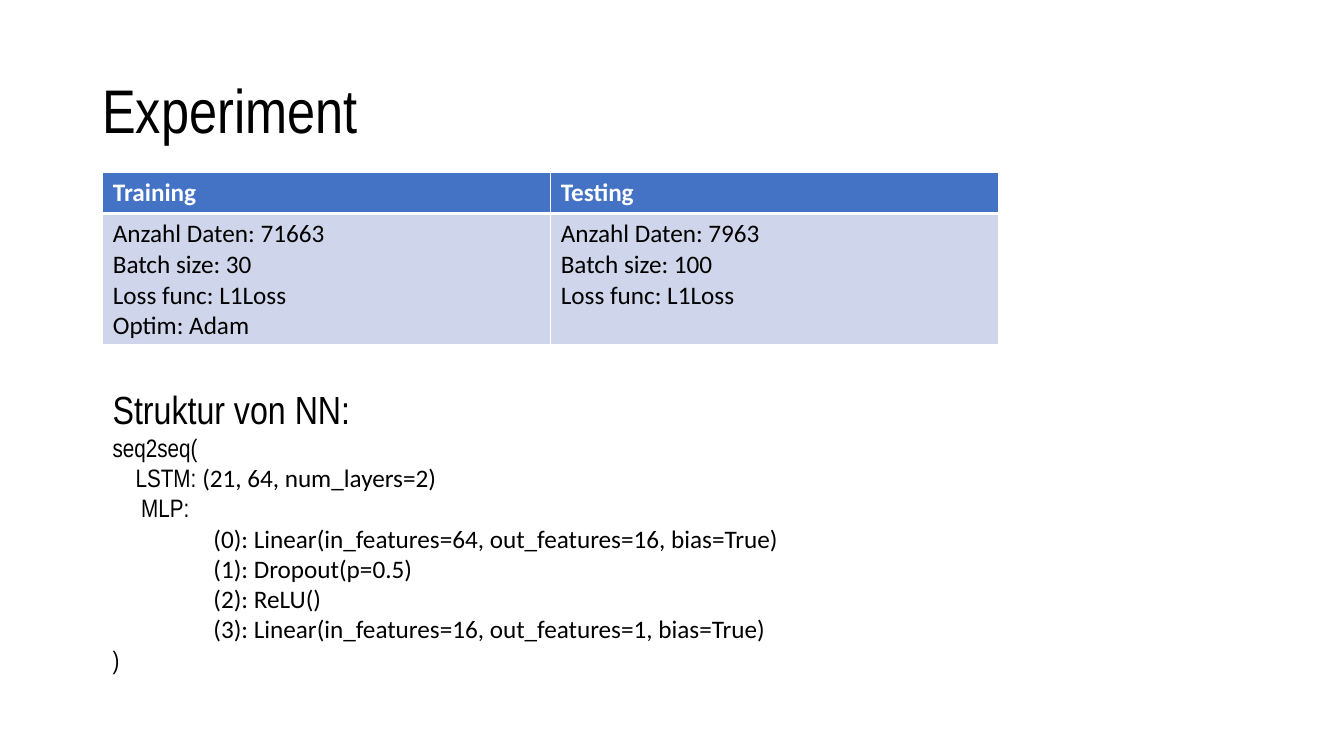
"""Build the experiment slide with its data table and network structure."""
from dataclasses import dataclass

from lxml.etree import SubElement
from pptx import Presentation
from pptx.dml.color import RGBColor as Color
from pptx.enum.text import MSO_ANCHOR as Anchor, MSO_AUTO_SIZE as AutoSize
from pptx.oxml.ns import qn
from pptx.util import Cm, Pt


@dataclass(frozen=True)
class Theme:
    narrow: str = "Arial Narrow"
    sans: str = "Calibri"
    black: str = "000000"
    white: str = "FFFFFF"
    header: str = "4472C4"
    body: str = "CFD5EA"
    title_size: int = 44
    heading_size: int = 28
    text_size: int = 18


theme = Theme()


def add_text(para, text, font=theme.sans, size=theme.text_size, color=theme.black, bold=False):
    span = para.add_run()
    span.text = text
    span.font.name = font
    span.font.size = Pt(size)
    span.font.bold = bold
    span.font.color.rgb = Color.from_string(color)


def add_border(cell, side, width):
    line = SubElement(cell._tc.get_or_add_tcPr(), qn(f"a:ln{side}"), w=str(Pt(width)))
    fill = SubElement(line, qn("a:solidFill"))
    SubElement(fill, qn("a:srgbClr"), val=theme.white)


deck = Presentation()
deck.slide_width, deck.slide_height = Cm(33.87), Cm(19.05)
page = deck.slides.add_slide(deck.slide_layouts[6])

title = page.shapes.add_textbox(Cm(2.33), Cm(1.01), Cm(29.21), Cm(3.68)).text_frame
title.word_wrap = True
title.vertical_anchor = Anchor.MIDDLE
title.paragraphs[0].line_spacing = 0.9
add_text(title.paragraphs[0], "Experiment", font=theme.narrow, size=theme.title_size)

structure = page.shapes.add_textbox(Cm(2.59), Cm(9.58), Cm(20.19), Cm(7.62)).text_frame
structure.word_wrap = True
structure.auto_size = AutoSize.SHAPE_TO_FIT_TEXT
add_text(structure.paragraphs[0], "Struktur von NN:", font=theme.narrow, size=theme.heading_size)
structure_lines = [
    (0, [("seq2seq(", theme.narrow)]),
    (0.58, [("LSTM: ", theme.narrow), ("(21, 64, num_layers=2)", theme.sans)]),
    (0.72, [("MLP:", theme.narrow)]),
]
layers = [
    "Linear(in_features=64, out_features=16, bias=True)",
    "Dropout(p=0.5)",
    "ReLU()",
    "Linear(in_features=16, out_features=1, bias=True)",
]
for number, layer in enumerate(layers):
    structure_lines.append((2.54, [(f"({number}): {layer}", theme.sans)]))
structure_lines.append((0, [(")", theme.narrow)]))
for indent, parts in structure_lines:
    para = structure.add_paragraph()
    para._p.get_or_add_pPr().set("marL", str(Cm(indent)))
    for text, font in parts:
        add_text(para, text, font=font)

columns = [
    ("Training", ["Anzahl Daten: 71663", "Batch size: 30", "Loss func: L1Loss", "Optim: Adam"]),
    ("Testing", ["Anzahl Daten: 7963", "Batch size: 100", "Loss func: L1Loss"]),
]
table = page.shapes.add_table(2, 2, Cm(2.59), Cm(4.35), Cm(22.58), Cm(4.34)).table
table.rows[0].height, table.rows[1].height = Cm(1.03), Cm(3.31)
for column, (heading, details) in enumerate(columns):
    for row, lines in enumerate([[heading], details]):
        is_header = row == 0
        cell = table.cell(row, column)
        widths = {"L": 1, "R": 1, "T": 1 if is_header else 3, "B": 3 if is_header else 1}
        for side, width in widths.items():
            add_border(cell, side, width)
        cell.fill.solid()
        cell.fill.fore_color.rgb = Color.from_string(theme.header if is_header else theme.body)
        for index, text in enumerate(lines):
            para = cell.text_frame.add_paragraph() if index else cell.text_frame.paragraphs[0]
            add_text(para, text, color=theme.white if is_header else theme.black, bold=is_header)

deck.save("out.pptx")
